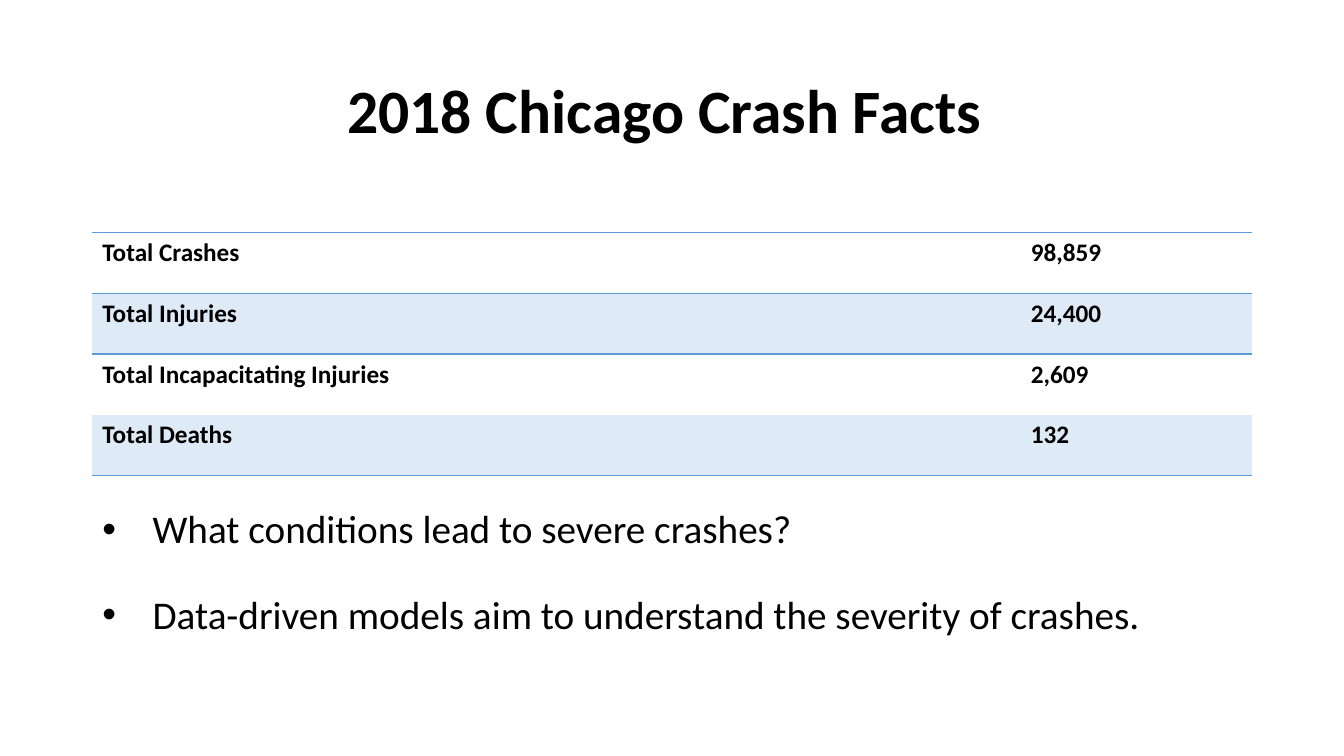
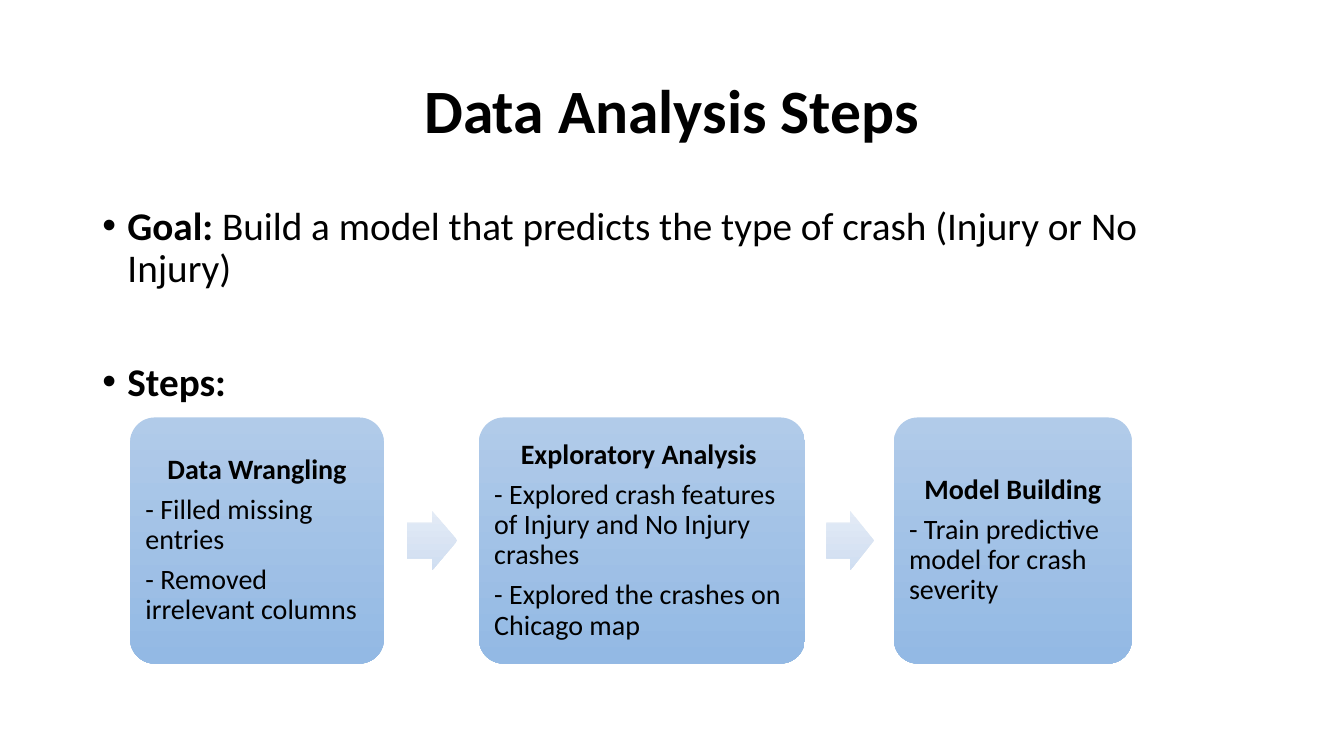
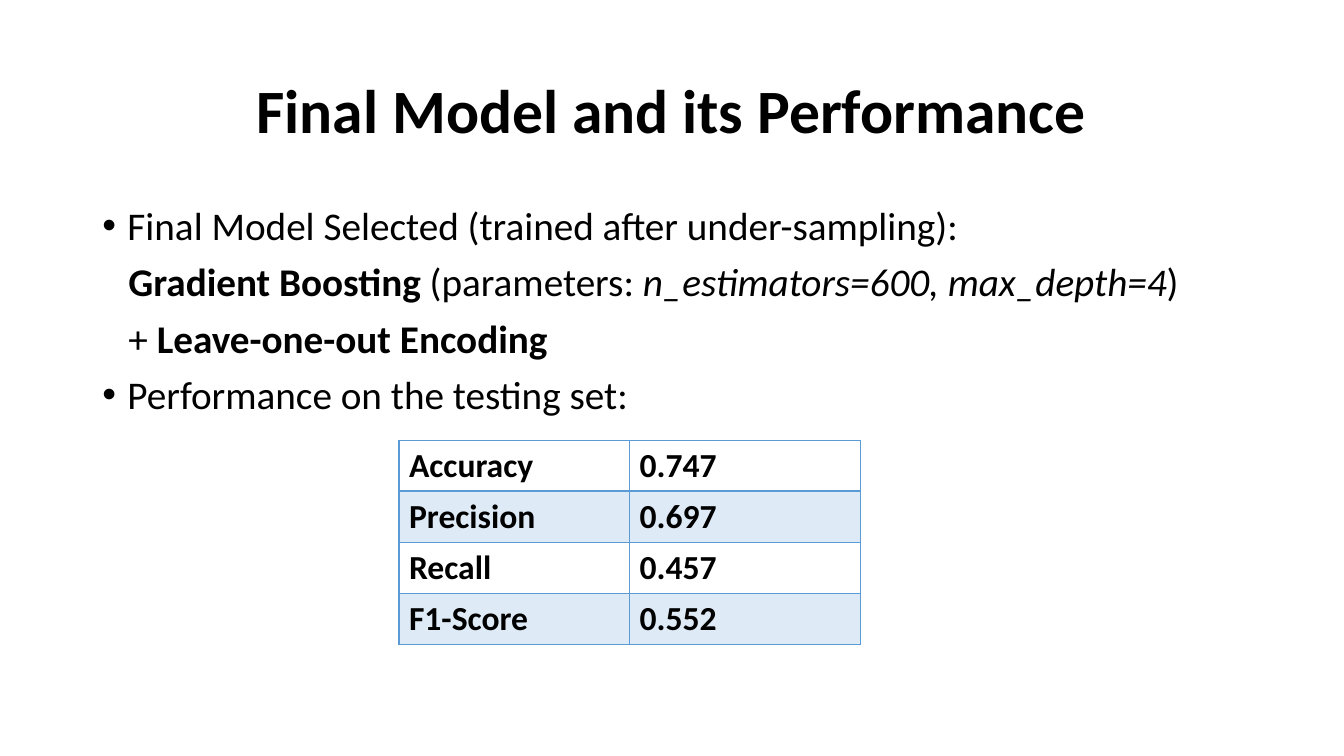
from dataclasses import dataclass

from lxml.etree import SubElement
from pptx import Presentation
from pptx.dml.color import RGBColor
from pptx.enum.shapes import MSO_SHAPE as Preset
from pptx.enum.text import MSO_ANCHOR as Anchor, PP_ALIGN as Align
from pptx.oxml.ns import qn
from pptx.util import Inches, Pt


@dataclass(frozen=True)
class Theme:
    font: str = "Calibri"
    text: str = "000000"
    accent: str = "5B9BD5"
    band: str = "DEEBF7"
    panel: tuple = ("B1CBE9", "93B9E4")
    arrow: tuple = ("E3EBF6", "D0DEF1")
    title: int = 44
    body: int = 28
    metric: int = 24
    step: int = 20
    fact: int = 18
    leading: float = 0.9
    plain_table: str = "{2D5ABB26-0587-4C30-8999-92F81FD0307C}"


@dataclass(frozen=True)
class Box:
    """A region of the slide in grid units; the slide is 160 by 90."""
    left: float
    top: float
    width: float
    height: float

    def place(self):
        return [unit(n) for n in (self.left, self.top, self.width, self.height)]


@dataclass(frozen=True)
class Line:
    """A paragraph: its (text, style) spans, indent in inches, space in points."""
    spans: tuple
    bullet: bool = True
    indent: float = 0.25
    before: float = 10
    after: float = 0
    align: Align = Align.LEFT


THEME = Theme()
TITLE = Box(11, 4.8, 138, 17.4)
BODY = Box(11, 24, 138, 57.1)


def unit(count):
    return Inches(count / 12)


def color(value):
    return RGBColor.from_string(value)


# Text
def style_span(span, size, style=""):
    font = span.font
    font.name, font.size = THEME.font, Pt(size)
    font.color.rgb = color(THEME.text)
    font.bold, font.italic = "b" in style, "i" in style


def set_indent(para, line):
    props = para._p.get_or_add_pPr()
    props.set("marL", str(Inches(line.indent)))
    props.set("indent", str(-Inches(line.indent) if line.bullet else 0))
    if line.bullet:
        SubElement(props, qn("a:buFont")).set("typeface", "Arial")
        SubElement(props, qn("a:buChar")).set("char", "•")


def write_lines(frame, lines, size, anchor=Anchor.TOP):
    frame.word_wrap = True
    frame.vertical_anchor = anchor
    for index, line in enumerate(lines):
        para = frame.add_paragraph() if index else frame.paragraphs[0]
        set_indent(para, line)
        para.alignment = line.align
        para.line_spacing = THEME.leading
        para.space_before, para.space_after = Pt(line.before), Pt(line.after)
        for text, style in line.spans:
            span = para.add_run()
            span.text = text
            style_span(span, size, style)


def add_text(page, box, lines, size, anchor=Anchor.TOP):
    frame = page.shapes.add_textbox(*box.place()).text_frame
    write_lines(frame, lines, size, anchor)


def add_page(deck, title):
    page = deck.slides.add_slide(deck.slide_layouts[6])
    heading = Line(((title, "b"),), False, 0, 0, align=Align.CENTER)
    add_text(page, TITLE, [heading], THEME.title, Anchor.MIDDLE)
    return page


# Tables
def set_borders(cell, widths):
    props = cell._tc.get_or_add_tcPr()
    for side in "LRTB":
        if side in widths:
            edge = SubElement(props, qn(f"a:ln{side}"), w=str(Pt(widths[side])))
            fill = SubElement(edge, qn("a:solidFill"))
            SubElement(fill, qn("a:srgbClr"), val=THEME.accent)


def add_table(page, box, rows, shares, size, borders, value_margin=0.1):
    """Draw a banded table; borders gives each row's border widths by side."""
    frame = page.shapes.add_table(len(rows), len(shares), *box.place())
    table = frame.table
    table.first_row = table.horz_banding = False
    table._tbl.tblPr.find(qn("a:tableStyleId")).text = THEME.plain_table
    for column, share in zip(table.columns, shares):
        column.width = unit(box.width * share)
    for index, row in enumerate(rows):
        table.rows[index].height = unit(box.height / len(rows))
        for cell, text in zip(table.rows[index].cells, row):
            cell.text = text
            style_span(cell.text_frame.paragraphs[0].runs[0], size, "b")
            set_borders(cell, borders[index])
            if index % 2:
                cell.fill.solid()
                cell.fill.fore_color.rgb = color(THEME.band)
            else:
                cell.fill.background()
        cell.margin_left = Inches(value_margin)


# Process flow
def add_block(page, preset, box, shades, adjustments):
    block = page.shapes.add_shape(preset, *box.place())
    block.shadow.inherit = False
    block.line.fill.background()
    block.fill.gradient()
    block.fill.gradient_angle = 270
    for stop, shade, position in zip(block.fill.gradient_stops, shades, (0, 1)):
        stop.color.rgb = color(shade)
        stop.position = position
    for index, value in enumerate(adjustments):
        block.adjustments[index] = value
    return block


def add_panel(page, box, heading, notes):
    panel = add_block(page, Preset.ROUNDED_RECTANGLE, box, THEME.panel, [0.1])
    frame = panel.text_frame
    frame.margin_left = frame.margin_right = Inches(0.08)
    frame.margin_top = frame.margin_bottom = Inches(0.08)
    lines = [Line(((heading, "b"),), False, 0, 0, 7, Align.CENTER)]
    lines += [Line(((note, ""),), False, 0, 0, 7) for note in notes]
    write_lines(frame, lines, THEME.step, Anchor.MIDDLE)


def add_flow(page, box, steps):
    """Place panels left to right; gaps and arrows follow the narrower neighbour."""
    left, arrow_height = box.left, 7.1
    widths = [width for width, _, _ in steps]
    for index, (width, heading, notes) in enumerate(steps):
        add_panel(page, Box(left, box.top, width, box.height), heading, notes)
        left += width
        if index + 1 < len(steps):
            narrower = min(widths[index:index + 2])
            middle = box.top + (box.height - arrow_height) / 2
            arrow = Box(left + narrower * 0.09, middle, narrower * 0.2, arrow_height)
            add_block(page, Preset.RIGHT_ARROW, arrow, THEME.arrow, [0.6, 0.5])
            left += narrower * 3 / 8


# Slides
def facts_page(deck):
    page = add_page(deck, "2018 Chicago Crash Facts ")
    rows = [("Total Crashes", "98,859"), ("Total Injuries", "24,400"),
            ("Total Incapacitating Injuries", "2,609"), ("Total Deaths", "132")]
    borders = [{"T": 1, "B": 1}, {"T": 1}, {}, {"B": 1}]
    add_table(page, Box(11, 27.7, 138, 28.9), rows, (0.8, 0.2), THEME.fact,
              borders, value_margin=0.16 - 0.05)
    questions = ("What conditions lead to severe crashes?",
                 "Data-driven models aim to understand the severity of crashes.")
    lines = [Line(((text, ""),), indent=0.5, before=31 * index)
             for index, text in enumerate(questions)]
    add_text(page, Box(11, 59.6, 138, 17.4), lines, THEME.body, Anchor.MIDDLE)


def steps_page(deck):
    page = add_page(deck, "Data Analysis Steps")
    goal = "Build a model that predicts the type of crash (Injury or No Injury)"
    add_text(page, BODY, [
        Line((("Goal: ", "b"), (goal, ""))),
        Line((("Steps:", "b"),), before=51),
    ], THEME.body)
    add_flow(page, Box(15.5, 49.7, 119.2, 29.3), [
        (30.2, "Data Wrangling",
         ["- Filled missing entries", "- Removed irrelevant columns"]),
        (38.8, "Exploratory Analysis ",
         ["- Explored crash features of Injury and No Injury crashes",
          "- Explored the crashes on Chicago map"]),
        (28.3, "Model Building", ["- Train predictive model for crash severity"]),
    ])


def model_page(deck):
    page = add_page(deck, "Final Model and its Performance")
    add_text(page, BODY, [
        Line((("Final Model Selected (trained after under-sampling):", ""),)),
        Line((("Gradient Boosting ", "b"), ("(parameters: ", ""),
              ("n_estimators=600, max_depth=4", "i"), (")", "")), False, 0.26),
        Line((("+ ", ""), ("Leave-one-out Encoding", "b")), False, 0.26),
        Line((("Performance on the testing set:", ""),)),
    ], THEME.body)
    rows = [("Accuracy", "0.747"), ("Precision", "0.697"),
            ("Recall", "0.457"), ("F1-Score", "0.552")]
    grid = dict.fromkeys("LRTB", 1)
    borders = [grid | {"B": 2}, grid | {"T": 2}, grid, grid]
    add_table(page, Box(47.5, 52.4, 54.9, 24.3), rows, (0.5, 0.5),
              THEME.metric, borders)


def main():
    deck = Presentation()
    deck.slide_width, deck.slide_height = unit(160), unit(90)
    for build in (facts_page, steps_page, model_page):
        build(deck)
    deck.save("out.pptx")


if __name__ == "__main__":
    main()
